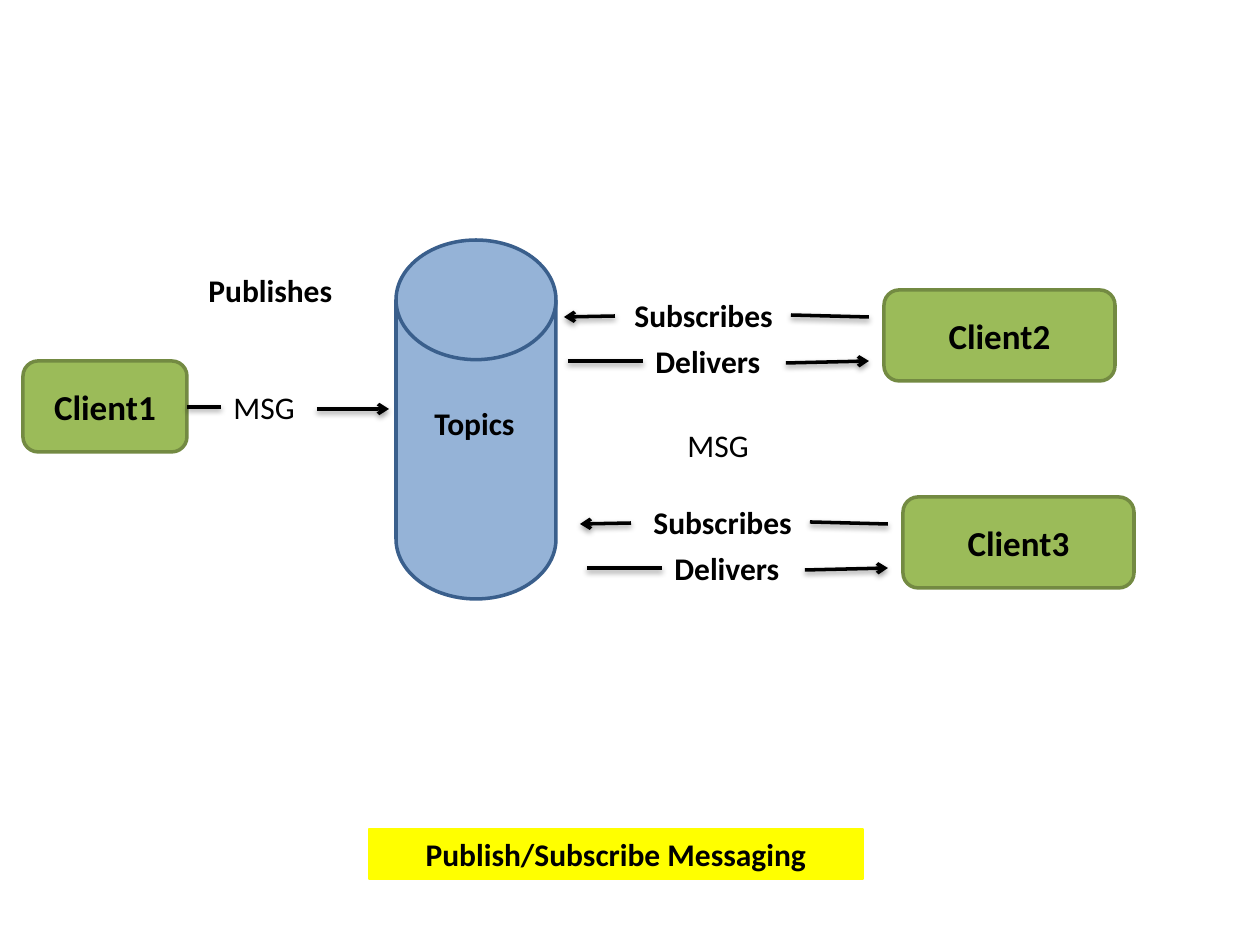
from dataclasses import dataclass

from lxml.etree import SubElement
from pptx import Presentation
from pptx.dml.color import RGBColor
from pptx.enum.shapes import MSO_CONNECTOR, MSO_SHAPE
from pptx.enum.text import MSO_ANCHOR, MSO_AUTO_SIZE, PP_ALIGN
from pptx.oxml.ns import qn
from pptx.util import Emu, Pt


@dataclass(frozen=True)
class Theme:
    """Colours, type and line sizes of the diagram."""
    font: str = "Calibri"
    ink: str = "000000"
    client_fill: str = "9BBB59"
    client_edge: str = "738A42"
    store_fill: str = "95B3D7"
    store_edge: str = "3A5F8C"
    banner: str = "FFFF00"
    client_size: int = 20
    label_size: int = 18
    stroke: float = 2
    banner_stroke: float = 0.75


THEME = Theme()
PX_PER_INCH = 126
CLIENT_HEIGHT = 91
LABEL_HEIGHT = 50


def px(length):
    """Turn pixels into EMU."""
    return Emu(round(length * 914400 / PX_PER_INCH))


def colour(code):
    """Turn a hex code into a colour."""
    return RGBColor.from_string(code)


def write(frame, wording, size, bold=True, align=PP_ALIGN.LEFT):
    """Put one styled paragraph into a text frame."""
    frame.word_wrap = True
    frame.text = wording
    paragraph = frame.paragraphs[0]
    paragraph.alignment = align
    font = paragraph.runs[0].font
    font.name, font.size, font.bold = THEME.font, Pt(size), bold
    font.color.rgb = colour(THEME.ink)


def add_block(slide, preset, box, fill, edge, stroke=THEME.stroke):
    """Draw a filled and outlined preset shape."""
    block = slide.shapes.add_shape(preset, *map(px, box))
    block.shadow.inherit = False
    block.fill.solid()
    block.fill.fore_color.rgb = colour(fill)
    block.line.color.rgb = colour(edge)
    block.line.width = Pt(stroke)
    return block


def add_client(slide, name, left, top, width):
    """Draw a client as a rounded block."""
    client = add_block(slide, MSO_SHAPE.ROUNDED_RECTANGLE,
                       (left, top, width, CLIENT_HEIGHT),
                       THEME.client_fill, THEME.client_edge)
    client.text_frame.vertical_anchor = MSO_ANCHOR.MIDDLE
    write(client.text_frame, name, THEME.client_size, align=PP_ALIGN.CENTER)


def add_label(slide, wording, left, top, width, bold=True):
    """Place a text label."""
    label = slide.shapes.add_textbox(*map(px, (left, top, width, LABEL_HEIGHT)))
    write(label.text_frame, wording, THEME.label_size, bold)
    label.text_frame.auto_size = MSO_AUTO_SIZE.SHAPE_TO_FIT_TEXT


def add_line(slide, start, end, arrow=False):
    """Draw a softly shadowed line, with an arrowhead if asked."""
    line = slide.shapes.add_connector(MSO_CONNECTOR.STRAIGHT,
                                      *map(px, (*start, *end)))
    line.line.color.rgb = colour(THEME.ink)
    line.line.width = Pt(THEME.stroke)
    properties = line._element.spPr
    if arrow:
        SubElement(properties.find(qn("a:ln")), qn("a:tailEnd"), type="arrow")
    effects = SubElement(properties, qn("a:effectLst"))
    shadow = SubElement(effects, qn("a:outerShdw"), blurRad="40000",
                        dist="20000", dir="5400000", rotWithShape="0")
    tint = SubElement(shadow, qn("a:srgbClr"), val=THEME.ink)
    SubElement(tint, qn("a:alpha"), val="38000")


def add_subscriber(slide, name, left, top, request_left):
    """Draw a client with its subscribe and deliver exchanges."""
    add_client(slide, name, left, top, 231)
    add_line(slide, (left - 93, top + 25), (left - 15, top + 27))
    add_label(slide, "Subscribes", left - 262, top, 169)
    add_line(slide, (request_left + 51, top + 26), (request_left, top + 27), arrow=True)
    add_line(slide, (left - 316, top + 71), (left - 241, top + 71))
    add_label(slide, "Delivers", left - 241, top + 46, 227)
    add_line(slide, (left - 98, top + 73), (left - 15, top + 71), arrow=True)


def add_publisher(slide):
    """Draw the publishing client and its message."""
    add_client(slide, "Client1", 23, 361, 164)
    add_line(slide, (187, 407), (221, 407))
    add_label(slide, "MSG", 221, 382, 110, bold=False)
    add_line(slide, (317, 409), (389, 409), arrow=True)
    add_label(slide, "Publishes", 196, 265, 157)


def add_topic_store(slide):
    """Draw the cylinder that holds the topics."""
    add_block(slide, MSO_SHAPE.FLOWCHART_MAGNETIC_DISK, (396, 240, 160, 359),
              THEME.store_fill, THEME.store_edge)
    add_label(slide, "Topics", 422, 398, 145)


def add_banner(slide):
    """Draw the highlighted caption."""
    banner = add_block(slide, MSO_SHAPE.RECTANGLE, (369, 829, 494, LABEL_HEIGHT),
                       THEME.banner, THEME.banner, THEME.banner_stroke)
    banner.text_frame.vertical_anchor = MSO_ANCHOR.TOP
    write(banner.text_frame, "Publish/Subscribe Messaging", THEME.label_size,
          align=PP_ALIGN.CENTER)
    banner.text_frame.auto_size = MSO_AUTO_SIZE.SHAPE_TO_FIT_TEXT


def main():
    """Build and save the slide."""
    deck = Presentation()
    deck.slide_width, deck.slide_height = px(1260), px(945)
    slide = deck.slides.add_slide(deck.slide_layouts[6])
    add_publisher(slide)
    add_topic_store(slide)
    add_subscriber(slide, "Client2", 884, 290, 564)
    add_label(slide, "MSG", 675, 420, 135, bold=False)
    add_subscriber(slide, "Client3", 903, 497, 580)
    add_banner(slide)
    deck.save("out.pptx")


if __name__ == "__main__":
    main()
